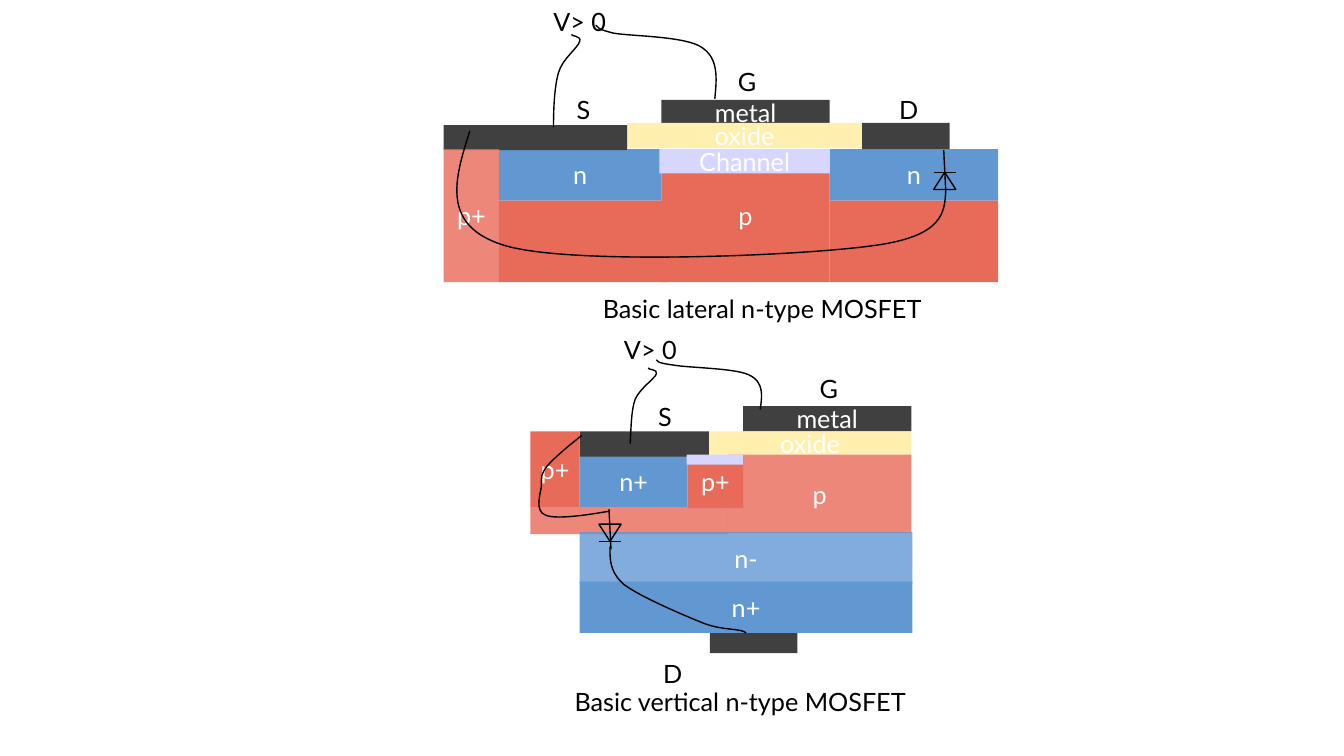
import pptx
import pptx.dml.color
import pptx.enum.shapes
import pptx.enum.text
import pptx.oxml.ns
import pptx.util
from lxml import etree

PX = 9144  # 100 px to the inch
RGB = pptx.dml.color.RGBColor
SHAPE = pptx.enum.shapes.MSO_SHAPE
METAL = RGB(0x40, 0x40, 0x40)
OXIDE = RGB(0xFF, 0xF0, 0xB0)
P_TYPE = RGB(0xE8, 0x6A, 0x58)
N_TYPE = RGB(0x62, 0x98, 0xD2)
CHANNEL = RGB(0xD6, 0xD6, 0xFF)
WHITE = RGB(0xFF, 0xFF, 0xFF)
BLACK = RGB(0, 0, 0)


def emu(box, x, y):
    """Turn a point inside a box into slide coordinates."""
    return round((box[0] + x) * PX), round((box[1] + y) * PX)


def write(sp, text, colour):
    p = sp.text_frame.paragraphs[0]
    p.text = text
    p.font.name = "Lato"
    p.font.size = pptx.util.Pt(18)
    p.font.color.rgb = colour
    return p


def outline(sp):
    sp.line.color.rgb = BLACK
    sp.line.width = pptx.util.Pt(1)


def add_block(s, box, x, y, w, h, colour, text="", alpha=100):
    sp = s.shapes.add_shape(SHAPE.RECTANGLE, *emu(box, x, y), w * PX, h * PX)
    sp.shadow.inherit = False
    sp.line.fill.background()
    sp.fill.solid()
    sp.fill.fore_color.rgb = colour
    if alpha < 100:
        clr = sp.fill._xPr.find(".//" + pptx.oxml.ns.qn("a:srgbClr"))
        etree.SubElement(clr, pptx.oxml.ns.qn("a:alpha"), val=str(alpha * 1000))
    if text:
        sp.text_frame.vertical_anchor = pptx.enum.text.MSO_ANCHOR.MIDDLE
        write(sp, text, WHITE).alignment = pptx.enum.text.PP_ALIGN.CENTER


def add_label(s, box, x, y, w, text):
    sp = s.shapes.add_textbox(*emu(box, x, y), w * PX, 40 * PX)
    sp.text_frame.word_wrap = True
    sp.text_frame.auto_size = pptx.enum.text.MSO_AUTO_SIZE.SHAPE_TO_FIT_TEXT
    write(sp, text, BLACK)


def curve_range(values):
    """Lowest and highest value along a chain of cubic curves on one axis."""
    reached = []
    for i in range(0, len(values) - 1, 3):
        a, b, c, d = values[i:i + 4]
        for step in range(41):
            t = step / 40
            u = 1 - t
            reached.append(a * u ** 3 + 3 * b * t * u * u + 3 * c * t * t * u + d * t ** 3)
    return round(min(reached)), round(max(reached))


def add_wire(s, box, start, *curves):
    """Draw a chain of cubic curves, each given as x1, y1, x2, y2, x, y."""
    points = [emu(box, *start)]
    for curve in curves:
        points += [emu(box, *curve[i:i + 2]) for i in (0, 2, 4)]
    left, right = curve_range([x for x, y in points])
    top, bottom = curve_range([y for x, y in points])
    builder = s.shapes.build_freeform(*points[0])
    builder.add_line_segments(points[1:], close=False)
    sp = builder.convert_to_shape()
    sp.left, sp.top, sp.width, sp.height = left, top, right - left, bottom - top

    # Turn every three line ends into one cubic curve
    qn = pptx.oxml.ns.qn
    outline_path = sp._element.spPr.find(".//" + qn("a:path"))
    outline_path.set("w", str(right - left))
    outline_path.set("h", str(bottom - top))
    for child in list(outline_path):
        outline_path.remove(child)
    for i, (x, y) in enumerate(points):
        if i == 0:
            segment = etree.SubElement(outline_path, qn("a:moveTo"))
        elif i % 3 == 1:
            segment = etree.SubElement(outline_path, qn("a:cubicBezTo"))
        etree.SubElement(segment, qn("a:pt"), x=str(x - left), y=str(y - top))
    sp.shadow.inherit = False
    sp.fill.background()
    outline(sp)


def add_line(s, box, start, end):
    line = s.shapes.add_connector(pptx.enum.shapes.MSO_CONNECTOR.STRAIGHT,
                                  *emu(box, *start), *emu(box, *end))
    outline(line)
    etree.SubElement(line._element.spPr, pptx.oxml.ns.qn("a:effectLst"))


def add_diode(s, box, x, y, lead, down=False):
    """Draw a diode 22 by 17 px whose lead starts that far above it."""
    sp = s.shapes.add_shape(SHAPE.ISOSCELES_TRIANGLE, *emu(box, x, y), 22 * PX, 17 * PX)
    sp.shadow.inherit = False
    sp.fill.background()
    outline(sp)
    sp.rotation = 180 if down else 0
    bar = y + 17 if down else y
    add_line(s, box, (x, bar), (x + 22, bar))
    add_line(s, box, (x + 10, y - lead), (x + 12, y - lead + 40))


def add_lateral(s, box):
    for block in (
        (216, 99, 167, 25, METAL, "metal"),
        (182, 122, 233, 25, OXIDE, "oxide"),
        (216, 148, 167, 132, P_TYPE, "p"),
        (55, 148, 161, 51, N_TYPE, "n"),
        (55, 199, 167, 81, P_TYPE),
        (383, 148, 167, 51, N_TYPE, "n"),
        (383, 199, 167, 81, P_TYPE),
        (0, 124, 182, 25, METAL),
        (415, 122, 87, 26, METAL),
        (214, 148, 169, 24, CHANNEL, "Channel"),
        (0, 148, 55, 132, P_TYPE, "p+", 80),
    ):
        add_block(s, box, *block)
    for label in ((282, 61, 34, "G"), (122, 89, 34, "S"), (442, 89, 34, "D"),
                  (99, 1, 78, "V> 0"),
                  (148, 286, 369, "Basic lateral n-type MOSFET")):
        add_label(s, box, *label)
    # Gate, source and body-diode wires
    add_wire(s, box, (269, 98), (271, 78, 273, 58, 256, 47),
             (240, 36, 187, 36, 169, 33), (152, 29, 153, 27, 151, 25))
    add_wire(s, box, (109, 126), (109, 106, 110, 86, 114, 72),
             (118, 58, 133, 48, 135, 41), (137, 35, 125, 36, 127, 34))
    add_wire(s, box, (26, 130), (11, 177, -4, 225, 62, 244),
             (128, 263, 351, 254, 424, 244), (496, 235, 497, 211, 498, 188))
    add_diode(s, box, 486, 171, 22)


def add_vertical(s, box):
    for block in (
        (211, 83, 167, 25, METAL, "metal"),
        (177, 108, 201, 23, OXIDE, "oxide"),
        (196, 131, 182, 78, P_TYPE, "p", 80),
        (49, 132, 107, 51, N_TYPE, "n+"),
        (0, 183, 196, 27, P_TYPE, "", 80),
        (49, 108, 128, 25, METAL),
        (178, 302, 87, 26, METAL),
        (49, 208, 330, 51, N_TYPE, "n-", 80),
        (49, 257, 330, 51, N_TYPE, "n+"),
        (156, 132, 55, 52, P_TYPE, "p+"),
        (155, 131, 56, 10, CHANNEL),
        (0, 108, 49, 75, P_TYPE, "p+"),
    ):
        add_block(s, box, *block)
    for label in ((277, 45, 34, "G"), (117, 73, 34, "S"), (122, 328, 34, "D"),
                  (83, 7, 78, "V> 0"),
                  (34, 356, 369, "Basic vertical n-type MOSFET")):
        add_label(s, box, *label)
    # Gate, source, body and drain wires
    add_wire(s, box, (228, 86), (230, 73, 232, 59, 217, 52),
             (203, 45, 156, 45, 141, 42), (125, 40, 126, 38, 125, 37))
    add_wire(s, box, (99, 120), (100, 104, 100, 87, 104, 76),
             (109, 65, 123, 56, 125, 51), (127, 46, 116, 47, 117, 45))
    add_diode(s, box, 68, 200, 15, down=True)
    add_wire(s, box, (51, 112), (37, 123, 24, 134, 17, 142),
             (10, 151, 11, 153, 11, 162), (10, 170, 4, 187, 15, 191),
             (26, 196, 62, 190, 79, 187))
    add_wire(s, box, (79, 222), (79, 234, 78, 247, 93, 260),
             (109, 272, 151, 290, 171, 298), (191, 306, 209, 303, 214, 308))


def main():
    prs = pptx.Presentation()
    prs.slide_width, prs.slide_height = 1333 * PX, 750 * PX
    s = prs.slides.add_slide(prs.slide_layouts[6])
    add_lateral(s, (440, 0))
    add_vertical(s, (526, 320))
    prs.save("out.pptx")


if __name__ == "__main__":
    main()
